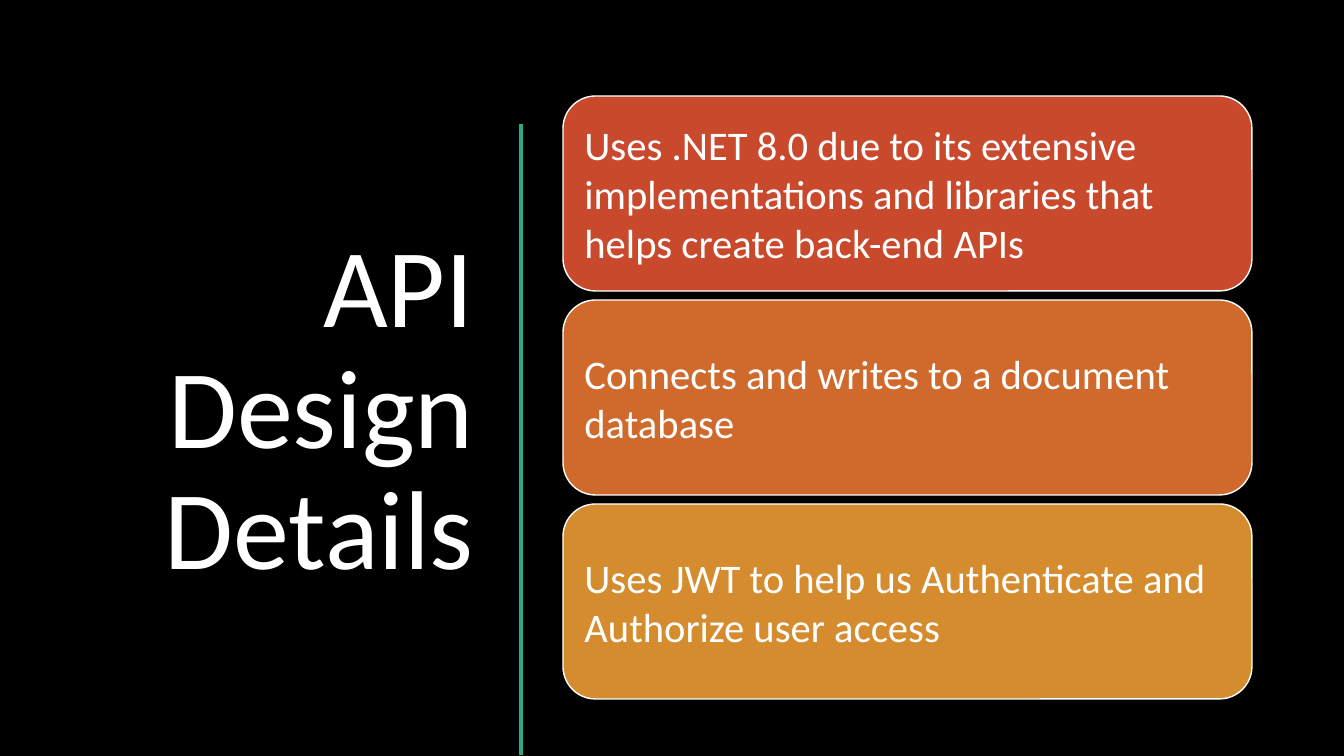
from pptx import Presentation
from pptx.dml.color import RGBColor
from pptx.enum.shapes import MSO_CONNECTOR, MSO_SHAPE
from pptx.enum.text import MSO_ANCHOR, PP_ALIGN
from pptx.oxml.ns import qn
from pptx.util import Emu, Pt
from lxml.etree import SubElement

THEME = {
    "font": "Calibri",
    "back": RGBColor(0x00, 0x00, 0x00),
    "text": RGBColor(0xFF, 0xFF, 0xFF),
    "rule": RGBColor(0x2A, 0xAA, 0x86),
    "cards": ["C9492C", "D0692C", "D58C2E"],
    "title": Pt(80),
    "body": Pt(29),
}
SCALE = 12192000 / 1344


def px(n):
    return Emu(round(n * SCALE))


def write(frame, text, size, align):
    frame.word_wrap = True
    frame.vertical_anchor = MSO_ANCHOR.MIDDLE
    para = frame.paragraphs[0]
    para.alignment = align
    run = para.add_run()
    run.text = text
    run.font.name = THEME["font"]
    run.font.size = size
    run.font.color.rgb = THEME["text"]
    return para


# Slide and background
deck = Presentation()
deck.slide_width, deck.slide_height = px(1344), px(756)
slide = deck.slides.add_slide(deck.slide_layouts[6])
slide.background.fill.solid()
slide.background.fill.fore_color.rgb = THEME["back"]

# Title
title = slide.shapes.add_textbox(px(50), px(104), px(434), px(616))
para = write(title.text_frame, "API Design Details", THEME["title"], PP_ALIGN.RIGHT)
para.line_spacing = 0.9

# Vertical rule
rule = slide.shapes.add_connector(
    MSO_CONNECTOR.STRAIGHT, px(521), px(124), px(521), px(755))
rule.line.color.rgb = THEME["rule"]
rule.line.width = Pt(2.25)
SubElement(rule._element.spPr, qn("a:effectLst"))

# Cards
points = [
    "Uses .NET 8.0 due to its extensive implementations and libraries that helps create back-end APIs",
    "Connects and writes to a document database",
    "Uses JWT to help us Authenticate and Authorize user access",
]
for row, (text, fill) in enumerate(zip(points, THEME["cards"])):
    card = slide.shapes.add_shape(
        MSO_SHAPE.ROUNDED_RECTANGLE, px(563), px(96 + 204 * row), px(689), px(195))
    card.shadow.inherit = False
    card.fill.solid()
    card.fill.fore_color.rgb = RGBColor.from_string(fill)
    card.line.color.rgb = THEME["text"]
    card.line.width = Pt(1)
    frame = card.text_frame
    frame.margin_left = frame.margin_right = px(12)
    frame.margin_top = frame.margin_bottom = px(12)
    write(frame, text, THEME["body"], PP_ALIGN.LEFT)

deck.save("out.pptx")
